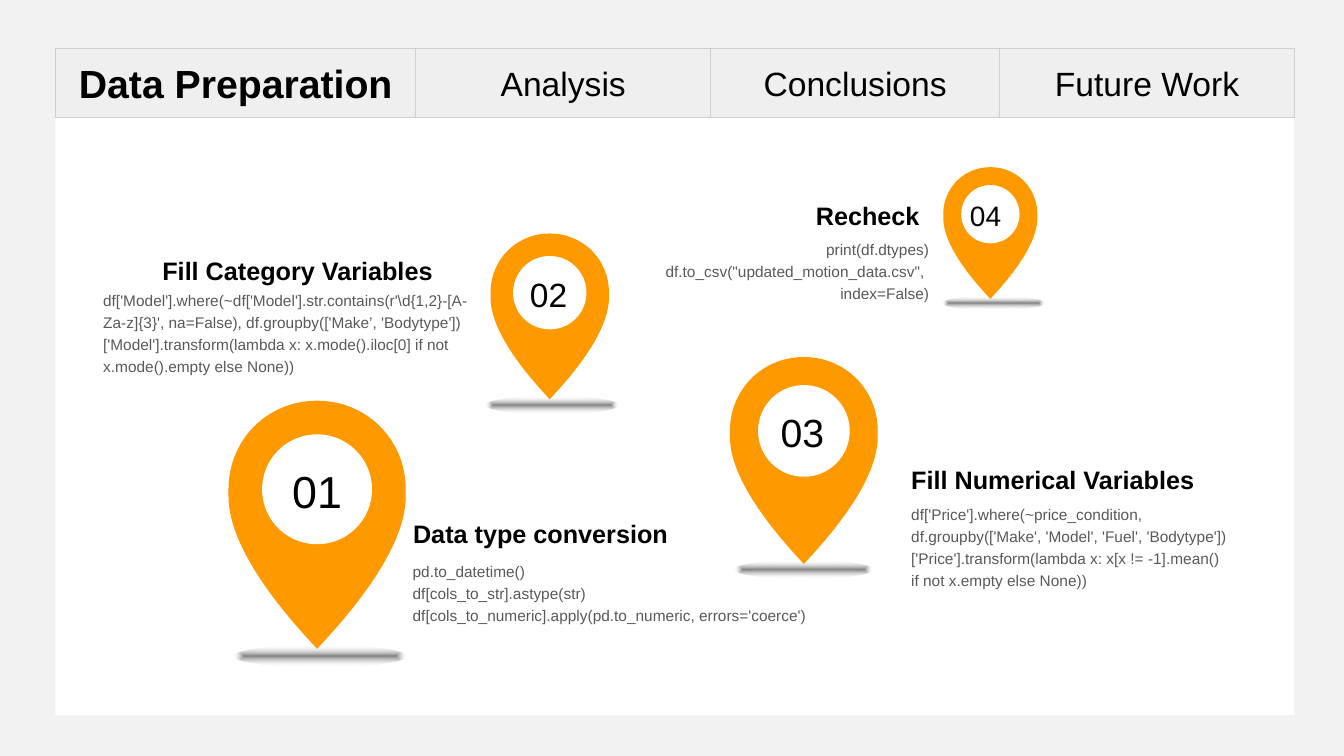
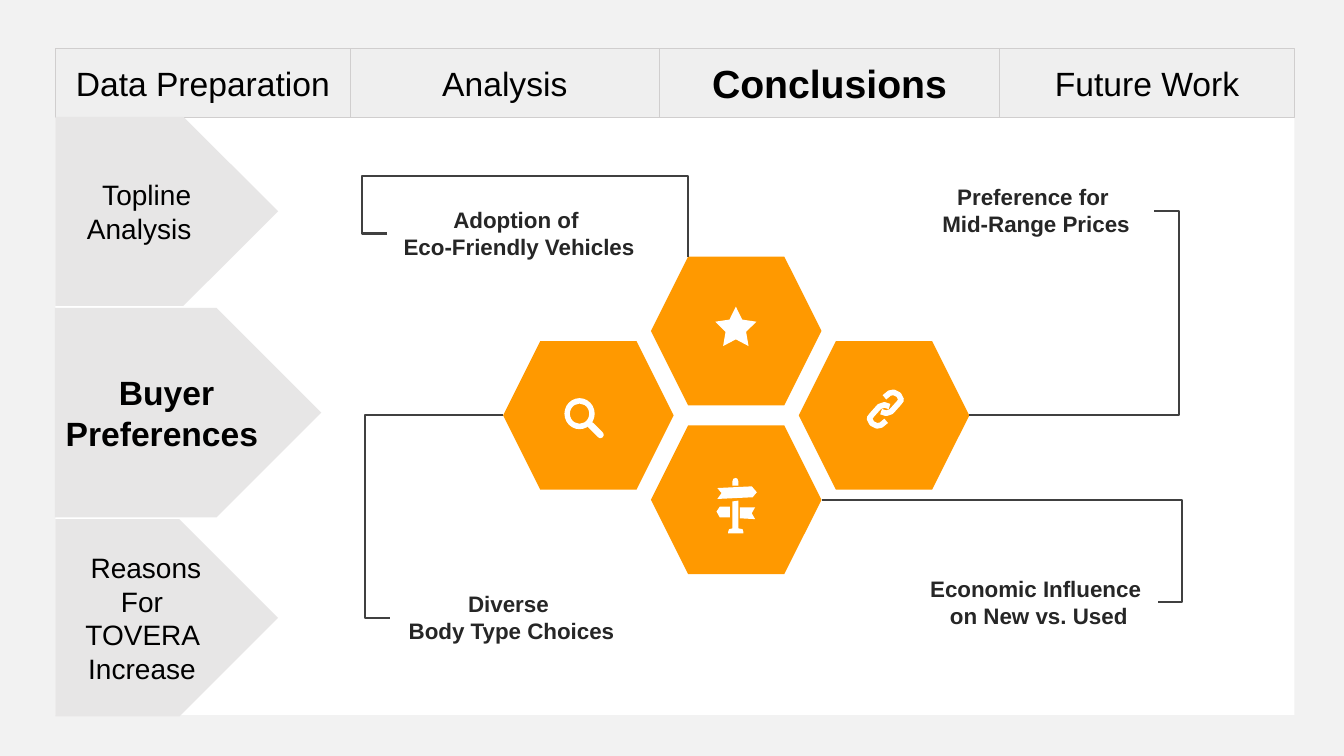
from dataclasses import dataclass

from lxml.etree import SubElement
from pptx import Presentation
from pptx.dml.color import RGBColor
from pptx.enum.shapes import MSO_CONNECTOR, MSO_SHAPE
from pptx.enum.text import MSO_ANCHOR, MSO_AUTO_SIZE, PP_ALIGN
from pptx.oxml import parse_xml
from pptx.oxml.ns import nsdecls, qn
from pptx.util import Emu, Inches, Pt

COLUMNS, ROWS = 160, 90


@dataclass(frozen=True)
class Theme:
    font: str = "Arial"
    background: str = "F2F2F2"
    panel: str = "FFFFFF"
    accent: str = "FF9900"
    tab: str = "D9D9D9"
    tab_border: str = "D0CECE"
    chevron: str = "E7E6E6"
    text: str = "000000"
    body_text: str = "595959"
    label_text: str = "262626"
    connector: str = "404040"
    shadow_core: str = "000000"
    shadow_edge: str = "EFF3F4"
    active_size: int = 28
    tab_size: int = 24
    chevron_size: int = 20
    heading_size: int = 18
    label_size: int = 16
    body_size: int = 11


THEME = Theme()
TABS = ("Data Preparation", "Analysis", "Conclusions", "Future Work")
PANEL = (6.6, 5.8, 147.5, 79.3)
TAB_HEIGHT = 8.2
PIN_RIGHT = [(0.5, 1.4), (0.61, 1.28), (1, 0.87), (1, 0.54), (1, 0.53), (1, 0.51),
             (1, 0.5), (1, 0.22), (0.78, 0), (0.5, 0)]
PIN_OUTLINE = PIN_RIGHT + [(1 - x, y) for x, y in reversed(PIN_RIGHT[:-1])]


def write_text(shape, text, *, size, color=THEME.text, bold=False,
               align=PP_ALIGN.LEFT, anchor=MSO_ANCHOR.TOP, spacing=1.0,
               insets=(0.1, 0.05), grow=False):
    frame = shape.text_frame
    frame.text = text
    frame.word_wrap = True
    frame.auto_size = MSO_AUTO_SIZE.SHAPE_TO_FIT_TEXT if grow else MSO_AUTO_SIZE.NONE
    frame.vertical_anchor = anchor
    frame.margin_left = frame.margin_right = Inches(insets[0])
    frame.margin_top = frame.margin_bottom = Inches(insets[1])
    for paragraph in frame.paragraphs:
        paragraph.alignment = align
        paragraph.line_spacing = spacing
        for run in paragraph.runs:
            font = run.font
            font.name, font.size, font.bold = THEME.font, Pt(size), bold
            font.color.rgb = RGBColor.from_string(color)


def curve_segments(shape):
    lines = list(shape.element.spPr.iter(qn("a:lnTo")))
    for first, second, third in zip(lines[::3], lines[1::3], lines[2::3]):
        curve = parse_xml(f'<a:cubicBezTo {nsdecls("a")}/>')
        first.addprevious(curve)
        for line in (first, second, third):
            curve.append(line[0])
            line.getparent().remove(line)


class Deck:
    def __init__(self, theme):
        self.theme = theme
        self.presentation = Presentation()
        self.presentation.slide_width = Inches(13.33)
        self.presentation.slide_height = Inches(7.5)
        fill = self.presentation.slide_master.background.fill
        fill.solid()
        fill.fore_color.rgb = RGBColor.from_string(theme.background)
        self.slide = None

    def x(self, columns):
        return Emu(round(self.presentation.slide_width * columns / COLUMNS))

    def y(self, rows):
        return Emu(round(self.presentation.slide_height * rows / ROWS))

    def box(self, left, top, width, height):
        return self.x(left), self.y(top), self.x(width), self.y(height)

    def paint(self, shape, fill=None, line=None, width=0.75):
        shape.shadow.inherit = False
        if fill:
            shape.fill.solid()
            shape.fill.fore_color.rgb = RGBColor.from_string(fill)
        else:
            shape.fill.background()
        if line:
            shape.line.color.rgb = RGBColor.from_string(line)
            shape.line.width = Pt(width)
        else:
            shape.line.fill.background()
        return shape

    def shape(self, kind, box, fill, adjustment=None, rotation=0):
        shape = self.slide.shapes.add_shape(kind, *self.box(*box))
        if adjustment is not None:
            shape.adjustments[0] = adjustment
        if rotation:
            shape.rotation = rotation
        return self.paint(shape, fill)

    def text(self, box, text, **text_format):
        shape = self.slide.shapes.add_textbox(*self.box(*box))
        write_text(shape, text, grow=True, **text_format)

    def outline(self, origin, contours, scale=1, closed=True, **paint):
        placed = [[(self.x(origin[0] + scale * x), self.y(origin[1] + scale * y))
                   for x, y in contour] for contour in contours]
        builder = self.slide.shapes.build_freeform(*placed[0][0])
        for index, contour in enumerate(placed):
            if index:
                builder.move_to(*contour[0])
            builder.add_line_segments(contour[1:], close=closed)
        return self.paint(builder.convert_to_shape(), **paint)

    def new_slide(self, active, widths):
        layout = self.presentation.slide_layouts.get_by_name("Title Only")
        self.slide = self.presentation.slides.add_slide(layout)
        self.shape(MSO_SHAPE.RECTANGLE, PANEL, self.theme.panel)
        left, top = PANEL[:2]
        for name, width in zip(TABS, widths):
            self.tab(name, (left, top, width, TAB_HEIGHT), name == active)
            left += width

    def tab(self, name, box, active):
        shapes = self.slide.shapes
        if active:
            shape = shapes.title
            shape.left, shape.top, shape.width, shape.height = self.box(*box)
            shapes.element.append(shape.element)
        else:
            shape = shapes.add_shape(MSO_SHAPE.RECTANGLE, *self.box(*box))
        self.paint(shape, self.theme.tab, self.theme.tab_border)
        color = shape.element.spPr.find(qn("a:solidFill"))[0]
        SubElement(color, qn("a:alpha")).set("val", "40000")
        write_text(shape, name, bold=active, align=PP_ALIGN.CENTER,
                   size=self.theme.active_size if active else self.theme.tab_size,
                   anchor=MSO_ANCHOR.MIDDLE, insets=(0.13, 0.07))

    def ground_shadow(self, left, top, width):
        shape = self.shape(MSO_SHAPE.OVAL, (left, top, width, width / 8), self.theme.shadow_core)
        properties = shape.element.spPr
        stops = ((0, self.theme.shadow_core, 49000), (100000, self.theme.shadow_edge, 0))
        stop_xml = "".join(
            f'<a:gs pos="{position}"><a:srgbClr val="{color}"><a:alpha val="{alpha}"/></a:srgbClr></a:gs>'
            for position, color, alpha in stops)
        gradient = parse_xml(
            f'<a:gradFill {nsdecls("a")} rotWithShape="1"><a:gsLst>{stop_xml}</a:gsLst>'
            '<a:path path="shape"><a:fillToRect l="50000" t="50000" r="50000" b="50000"/>'
            '</a:path></a:gradFill>')
        properties.replace(properties.find(qn("a:solidFill")), gradient)

    def pin(self, number, left, top, diameter, number_at, size, shadow_left, shadow_width):
        self.ground_shadow(shadow_left, top + 1.38 * diameter, shadow_width)
        curve_segments(self.outline((left, top), [PIN_OUTLINE], diameter, fill=self.theme.accent))
        inset, hole = 0.19 * diameter, 0.62 * diameter
        self.shape(MSO_SHAPE.OVAL, (left + inset, top + inset, hole, hole), self.theme.panel)
        self.text((*number_at, 10, 0.24 * size), number, size=size)

    def note(self, heading, heading_box, body, body_box,
             heading_align=PP_ALIGN.LEFT, body_align=PP_ALIGN.LEFT):
        self.text(body_box, body, size=self.theme.body_size, color=self.theme.body_text,
                  align=body_align, spacing=1.2)
        self.text(heading_box, heading, size=self.theme.heading_size, bold=True,
                  align=heading_align, spacing=1.2)

    def chevron(self, text, box, active):
        shape = self.shape(MSO_SHAPE.PENTAGON, box, self.theme.chevron)
        write_text(shape, text, bold=active, align=PP_ALIGN.CENTER, anchor=MSO_ANCHOR.MIDDLE,
                   size=self.theme.tab_size if active else self.theme.chevron_size)

    def elbow(self, begin, end, turn_x, turn_y=None):
        connector = self.slide.shapes.add_connector(
            MSO_CONNECTOR.ELBOW, self.x(begin[0]), self.y(begin[1]), self.x(end[0]), self.y(end[1]))
        connector.line.color.rgb = RGBColor.from_string(self.theme.connector)
        connector.line.width = Pt(1.5)
        properties = connector.element.spPr
        SubElement(properties, qn("a:effectLst"))
        geometry = properties.find(qn("a:prstGeom"))
        turns = [(turn_x - begin[0]) / (end[0] - begin[0])]
        if turn_y is not None:
            geometry.set("prst", "bentConnector4")
            turns.append((turn_y - begin[1]) / (end[1] - begin[1]))
        guides = geometry.find(qn("a:avLst"))
        if guides is None:
            guides = SubElement(geometry, qn("a:avLst"))
        for index, turn in enumerate(turns, 1):
            guide = SubElement(guides, qn("a:gd"))
            guide.set("name", f"adj{index}")
            guide.set("fmla", f"val {round(turn * 100000)}")

    def star_icon(self):
        self.shape(MSO_SHAPE.STAR_5_POINT, (85.15, 36.5, 4.9, 4.7), self.theme.panel, 0.25)

    def search_icon(self):
        self.shape(MSO_SHAPE.DONUT, (67.2, 47.4, 3.6, 3.7), self.theme.panel, 0.18)
        self.shape(MSO_SHAPE.ROUNDED_RECTANGLE, (69.7, 50.8, 2.4, 0.8), self.theme.panel, 0.5, 45)

    def chain_icon(self):
        lower = [(0.5, -0.3), (-0.1, -0.5), (-0.7, -0.3), (-1.6, 0.7), (-1.9, 1.1),
                 (-1.6, 1.7), (-1, 2), (-0.5, 1.9), (0.1, 1.4)]
        upper = [(-x, -y) for x, y in lower]
        self.outline((105.4, 48.7), [lower, upper], closed=False,
                     line=self.theme.panel, width=4)

    def signpost_icon(self):
        top_board = [(-2.2, -1.4), (1.9, -1.6), (2.5, -0.9), (2, -0.3), (-2.2, -0.1), (-1.7, -0.8)]
        right_board = [(0.5, 0.9), (2.3, 0.9), (1.9, 1.6), (2.3, 2.3), (0.5, 2.2)]
        left_board = [(-0.7, 0.8), (-1.9, 0.8), (-2.3, 1.4), (-1.9, 2.1), (-0.7, 2.1)]
        knob = [(-0.4, -1.7), (-0.4, -2.2), (-0.3, -2.5), (0, -2.6), (0.2, -2.5),
                (0.3, -2.2), (0.3, -1.7)]
        post = [(-0.4, 0.2), (0.3, 0.1), (0.3, 3.4), (0.8, 3.5), (0.9, 3.8), (0.9, 4),
                (-0.9, 4), (-0.9, 3.8), (-0.8, 3.5), (-0.4, 3.4)]
        self.outline((87.6, 59.5), [top_board, right_board, left_board, knob, post],
                     fill=self.theme.panel)


def build_preparation(deck):
    deck.new_slide("Data Preparation", (42.9, 35.1, 34.4, 35.1))
    deck.pin("01", 27.2, 47.7, 21.1, (33.6, 54.6), 32, 27.8, 20.6)
    deck.pin("02", 58.4, 27.8, 14.1, (61.9, 32), 24, 57.8, 15.8)
    deck.pin("04", 112.3, 19.9, 11.2, (114.3, 23), 20, 112.2, 12.2)
    deck.pin("03", 86.9, 42.5, 17.6, (91.75, 48), 28, 87.5, 16.4)
    deck.note("Data type conversion", (48, 60.4, 35, 5.3),
              "pd.to_datetime()\ndf[cols_to_str].astype(str)\n"
              "df[cols_to_numeric].apply(pd.to_numeric, errors='coerce')", (47.95, 65.9, 52, 9))
    deck.note("Fill Numerical Variables", (107.3, 54, 37.3, 5.2),
              "df['Price'].where(~price_condition, df.groupby(['Make', 'Model', 'Fuel', 'Bodytype'])"
              "['Price'].transform(lambda x: x[x != -1].mean() if not x.empty else None))",
              (107.3, 59.05, 40.3, 11.6))
    deck.note("Recheck", (83.75, 22.5, 26.9, 5.3),
              'print(df.dtypes)\ndf.to_csv("updated_motion_data.csv", \nindex=False)',
              (60.7, 27.55, 51.1, 9), PP_ALIGN.RIGHT, PP_ALIGN.RIGHT)
    deck.note("Fill Category Variables", (4.5, 29.1, 48.2, 5.2),
              r"df['Model'].where(~df['Model'].str.contains(r'\d{1,2}-[A-Za-z]{3}', na=False), "
              "df.groupby(['Make’, 'Bodytype'])['Model'].transform(lambda x: x.mode().iloc[0] "
              "if not x.mode().empty else None))", (11.1, 33.6, 46.9, 11.6), PP_ALIGN.RIGHT)


def build_conclusions(deck):
    deck.new_slide("Conclusions", (35.1, 36.8, 40.5, 35.1))
    deck.chevron(" Topline Analysis ", (6.6, 13.9, 26.5, 22.5), False)
    deck.chevron(" Buyer Preferences ", (6.55, 36.65, 31.7, 24.95), True)
    deck.chevron(" Reasons For TOVERA Increase", (6.6, 61.8, 26.5, 23.5), False)

    center_x, center_y, width, height = 87.65, 49.45, 20.3, 17.7
    for step_x, step_y in ((0, -1), (0, 1), (-1, 0), (1, 0)):
        left = center_x + 17.6 * step_x - width / 2
        top = center_y + 10.05 * step_y - height / 2
        deck.shape(MSO_SHAPE.HEXAGON, (left, top, width, height), deck.theme.accent)
    deck.search_icon()
    deck.chain_icon()
    deck.star_icon()

    labels = (
        ("Preference for \nMid-Range Prices", (109.3, 21.25, 28.1, 7.7)),
        ("Economic Influence\n on New vs. Used", (108.85, 67.9, 28.9, 7.7)),
        ("Diverse \nBody Type Choices", (46.45, 69.7, 28.9, 7.7)),
        ("Adoption of \nEco-Friendly Vehicles", (46.15, 24, 31.3, 7.7)),
    )
    for label, box in labels:
        deck.text(box, label, size=deck.theme.label_size, color=deck.theme.label_text,
                  bold=True, align=PP_ALIGN.CENTER)

    deck.elbow((46.1, 27.8), (81.9, 30.6), 43.1, 21)
    deck.elbow((115.4, 49.4), (137.4, 25.1), 140.4)
    deck.elbow((97.8, 59.5), (137.8, 71.7), 140.7)
    deck.elbow((59.9, 49.4), (46.4, 73.6), 43.4)
    deck.signpost_icon()


def main():
    deck = Deck(THEME)
    build_preparation(deck)
    build_conclusions(deck)
    deck.presentation.save("out.pptx")


if __name__ == "__main__":
    main()
